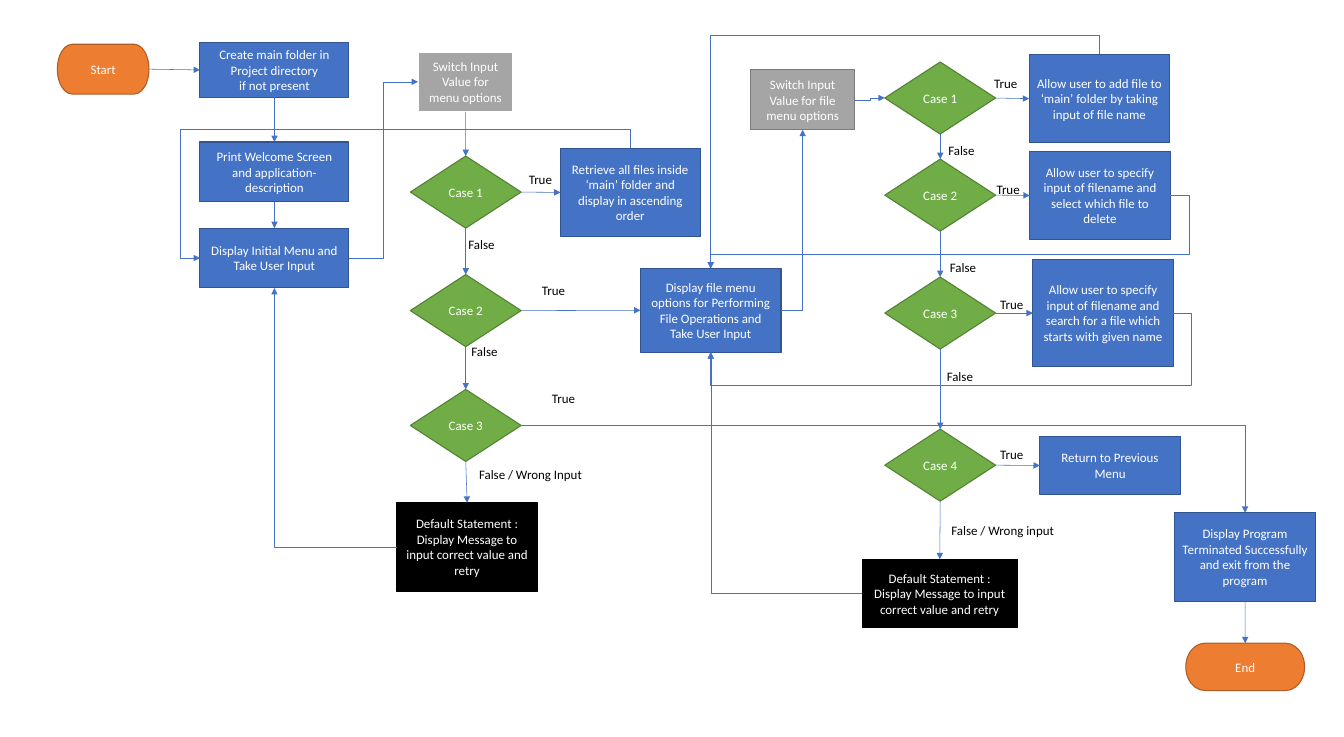
from lxml import etree
from pptx import Presentation
from pptx.dml.color import RGBColor
from pptx.enum.shapes import MSO_CONNECTOR, MSO_SHAPE
from pptx.enum.text import MSO_ANCHOR, PP_ALIGN
from pptx.oxml.ns import qn
from pptx.util import Cm, Pt

RECT = MSO_SHAPE.RECTANGLE
PROCESS = MSO_SHAPE.FLOWCHART_PROCESS
DECISION = MSO_SHAPE.FLOWCHART_DECISION
TERMINATOR = MSO_SHAPE.FLOWCHART_TERMINATOR
STRAIGHT, ELBOW = MSO_CONNECTOR.STRAIGHT, MSO_CONNECTOR.ELBOW
CENTER, MIDDLE = PP_ALIGN.CENTER, MSO_ANCHOR.MIDDLE
TOP, LEFT, BOTTOM, RIGHT = range(4)  # connection sites

COLORS = {
    "blue": "4472C4", "blue_edge": "325491",
    "green": "70AD47", "green_edge": "538035",
    "orange": "ED7D31", "orange_edge": "AF5C24",
    "gray": "A5A5A5", "gray_edge": "7A7A7A",
    "black": "000000", "black_edge": "000000", "white": "FFFFFF",
}
FONT, SIZE = "Calibri", Pt(12)
CASE = (3.63, 2.36)
STEP = (4.6, 2.9)
LABEL_WIDTHS = {"True": 1.27, "False": 1.37}
RETRY = "Default Statement : Display Message to input correct value and retry"


def rgb(name):
    return RGBColor.from_string(COLORS[name])


def add_run(p, text, color):
    r = p.add_run()
    r.text = text
    r.font.name, r.font.size = FONT, SIZE
    r.font.color.rgb = rgb(color)


def node(s, box, pos, size, kind, color, *lines):
    sp = s.shapes.add_shape(kind, Cm(box[0] + pos[0]), Cm(box[1] + pos[1]),
                            Cm(size[0]), Cm(size[1]))
    sp.shadow.inherit = False
    sp.fill.solid()
    sp.fill.fore_color.rgb = rgb(color)
    sp.line.color.rgb = rgb(color + "_edge")
    sp.line.width = Pt(1)
    tf = sp.text_frame
    tf.word_wrap, tf.vertical_anchor = True, MIDDLE
    for i, line in enumerate(lines):
        p = tf.add_paragraph() if i else tf.paragraphs[0]
        p.alignment = CENTER
        add_run(p, line, "white")
    return sp


def label(s, box, x, y, text):
    tb = s.shapes.add_textbox(Cm(box[0] + x), Cm(box[1] + y),
                              Cm(LABEL_WIDTHS.get(text, 3.91)), Cm(0.76))
    tb.text_frame.word_wrap = False
    add_run(tb.text_frame.paragraphs[0], text, "black")


def arrow(s, start, start_site, end, end_site, kind=STRAIGHT):
    c = s.shapes.add_connector(kind, 0, 0, 0, 0)
    c.begin_connect(start, start_site)
    c.end_connect(end, end_site)
    c.line.color.rgb = rgb("blue")
    c.line.width = Pt(0.5)
    etree.SubElement(c.line._get_or_add_ln(), qn("a:tailEnd"), type="triangle")
    etree.SubElement(c._element.spPr, qn("a:effectLst"))
    return c


def corner(s, start, start_site, end, end_site):
    """Arrow with one bend, horizontal part first."""
    c = arrow(s, start, start_site, end, end_site, ELBOW)
    c._element.spPr.find(qn("a:prstGeom")).set("prst", "bentConnector2")
    if c.end_x < c.begin_x and c.end_y < c.begin_y:
        xfrm = c._element.spPr.find(qn("a:xfrm"))
        xfrm.set("rot", "10800000")
        for flip in ("flipH", "flipV"):
            xfrm.attrib.pop(flip)


def detour(s, start, start_site, end, end_site, x=None, y=None):
    """Arrow that leaves its box and runs round by the lines x and y."""
    c = arrow(s, start, start_site, end, end_site, ELBOW)
    bends = []
    if x is not None:
        bends.append((Cm(x) - c.begin_x) / (c.end_x - c.begin_x))
    if y is not None:
        bends.append((Cm(y) - c.begin_y) / (c.end_y - c.begin_y))
    if start_site == TOP:  # vertical part first: turn the frame a quarter
        bends.reverse()
        mid_x, mid_y = c.left + c.width // 2, c.top + c.height // 2
        c.width, c.height = c.height, c.width
        c.left, c.top = mid_x - c.width // 2, mid_y - c.height // 2
        xfrm = c._element.spPr.find(qn("a:xfrm"))
        for key, value in (("rot", "16200000"), ("flipH", "1"), ("flipV", "1")):
            xfrm.set(key, value)
    geom = c._element.spPr.find(qn("a:prstGeom"))
    geom.set("prst", f"bentConnector{len(bends) + 2}")
    for i, bend in enumerate(bends, 1):
        etree.SubElement(geom.find(qn("a:avLst")), qn("a:gd"),
                         name=f"adj{i}", fmla=f"val {round(bend * 100000)}")


def chain(s, nodes):
    for upper, lower in zip(nodes, nodes[1:]):
        arrow(s, upper, BOTTOM, lower, TOP)


def cases(s, box, x, tops):
    return [node(s, box, (x, y), CASE, DECISION, "green", f"Case {i}")
            for i, y in enumerate(tops, 1)]


def startup(s, box):
    start = node(s, box, (0, 0.05), (3, 1.63), TERMINATOR, "orange", "Start")
    create = node(s, box, (4.67, 0), (4.88, 1.78), RECT, "blue",
                  "Create main folder in Project directory", "if not present")
    welcome = node(s, box, (4.67, 3.25), (4.88, 1.96), RECT, "blue",
                   "Print Welcome Screen and application-description")
    menu = node(s, box, (4.67, 6.07), (4.88, 1.96), RECT, "blue",
                "Display Initial Menu and Take User Input")
    arrow(s, start, RIGHT, create, LEFT)
    chain(s, [create, welcome, menu])
    return menu


def main_menu(s, box):
    switch = node(s, box, (0.69, 0), (3.12, 1.96), RECT, "gray",
                  "Switch Input", "Value for menu options")
    switch.line.color.rgb = rgb("white")
    switch.line.width = Pt(1.5)
    options = cases(s, box, 0.44, (3.41, 7.29, 11.05))
    default = node(s, box, (0, 14.76), STEP, PROCESS, "black", RETRY)
    retrieve = node(s, box, (5.36, 3.15), (4.57, 2.9), PROCESS, "blue",
                    "Retrieve all files inside ‘main’ folder and display "
                    "in ascending order")
    file_menu = node(s, box, (7.98, 7.09), (4.6, 2.74), PROCESS, "blue",
                     "Display file menu options for Performing "
                     "File Operations and Take User Input")
    chain(s, [switch, *options, default])
    arrow(s, options[0], RIGHT, retrieve, LEFT)
    arrow(s, options[1], RIGHT, file_menu, LEFT)
    for x, y, text in ((4.07, 3.79, "True"), (4.5, 7.44, "True"),
                       (4.83, 10.97, "True"), (2.09, 5.92, "False"),
                       (2.19, 9.43, "False"),
                       (2.44, 13.44, "False / Wrong Input")):
        label(s, box, x, y, text)
    return switch, options[2], default, retrieve, file_menu


def file_operations(s, box):
    switch = node(s, box, (0, 0.51), (3.4, 1.96), RECT, "gray",
                  "Switch Input", "Value for file menu options")
    options = cases(s, box, 4.39, (0.25, 3.43, 7.29, 12.27))
    default = node(s, box, (3.65, 16.53), (5.08, 2.24), PROCESS, "black", RETRY)
    steps = [node(s, box, pos, (4.6, height), PROCESS, "blue", text)
             for pos, height, text in (
        ((9.12, 0), 2.9, "Allow user to add file to ‘main’ folder by "
                         "taking input of file name"),
        ((9.14, 3.17), 2.9, "Allow user to specify input of filename and "
                            "select which file to delete"),
        ((9.24, 6.73), 3.48, "Allow user to specify input of filename and "
                             "search for a file which starts with given name"),
        ((9.47, 12.52), 1.88, "Return to Previous Menu"))]
    detour(s, switch, RIGHT, options[0], LEFT, x=box[0] + 3.9)
    chain(s, [*options, default])
    for option, step in zip(options, steps):
        arrow(s, option, RIGHT, step, LEFT)
    for x, y, text in ((7.72, 0.58, "True"), (7.8, 4.04, "True"),
                       (7.92, 7.82, "True"), (7.92, 12.72, "True"),
                       (6.22, 2.77, "False"), (6.27, 6.6, "False"),
                       (6.17, 10.16, "False"),
                       (6.32, 15.21, "False / Wrong input")):
        label(s, box, x, y, text)
    return switch, default, steps


def ending(s, box):
    terminated = node(s, box, (0, 0), STEP, PROCESS, "blue",
                      "Display Program Terminated Successfully "
                      "and exit from the program")
    end = node(s, box, (0.36, 4.27), (3.89, 1.55), TERMINATOR, "orange", "End")
    arrow(s, terminated, BOTTOM, end, TOP)
    return terminated


prs = Presentation()
prs.slide_width, prs.slide_height = Cm(44.02), Cm(24.13)
s = prs.slides.add_slide(prs.slide_layouts[6])

# Regions, each given the left and top of its box
menu = startup(s, (1.88, 1.4))
switch, exit_case, default, retrieve, file_menu = main_menu(s, (13, 1.7))
file_switch, file_default, steps = file_operations(s, (24.59, 1.78))
terminated = ending(s, (38.48, 16.79))

# Arrows between regions
detour(s, menu, RIGHT, switch, LEFT, x=12.55)
detour(s, retrieve, TOP, menu, LEFT, x=5.92, y=4.22)
detour(s, steps[0], TOP, file_menu, TOP, y=1.14)
detour(s, steps[1], RIGHT, file_menu, TOP, x=38.96, y=8.33)
detour(s, steps[2], RIGHT, file_menu, BOTTOM, x=39.04, y=12.6)
corner(s, default, LEFT, menu, BOTTOM)
corner(s, exit_case, RIGHT, terminated, TOP)
corner(s, file_menu, RIGHT, file_switch, BOTTOM)
corner(s, file_default, LEFT, file_menu, BOTTOM)

prs.save("out.pptx")
